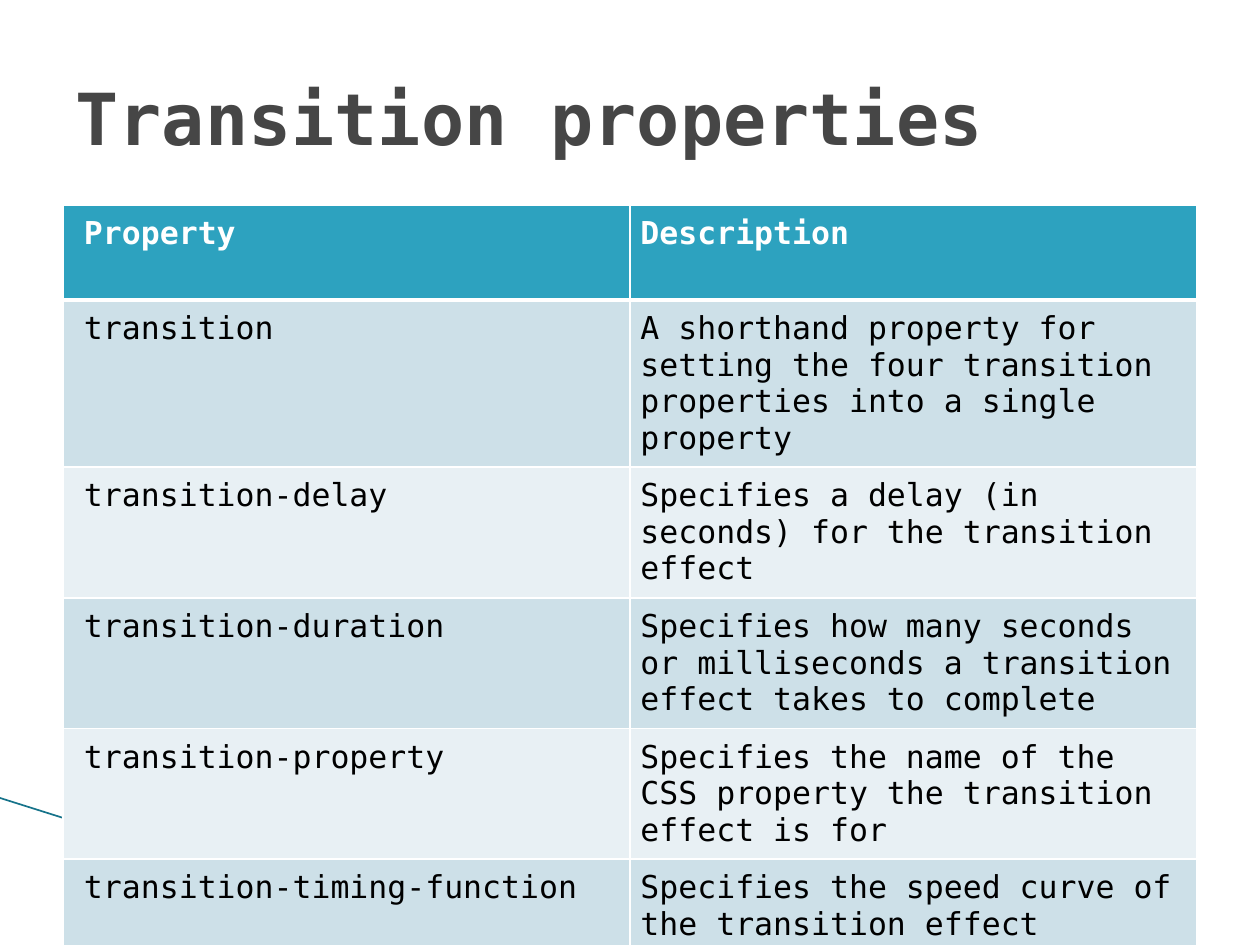
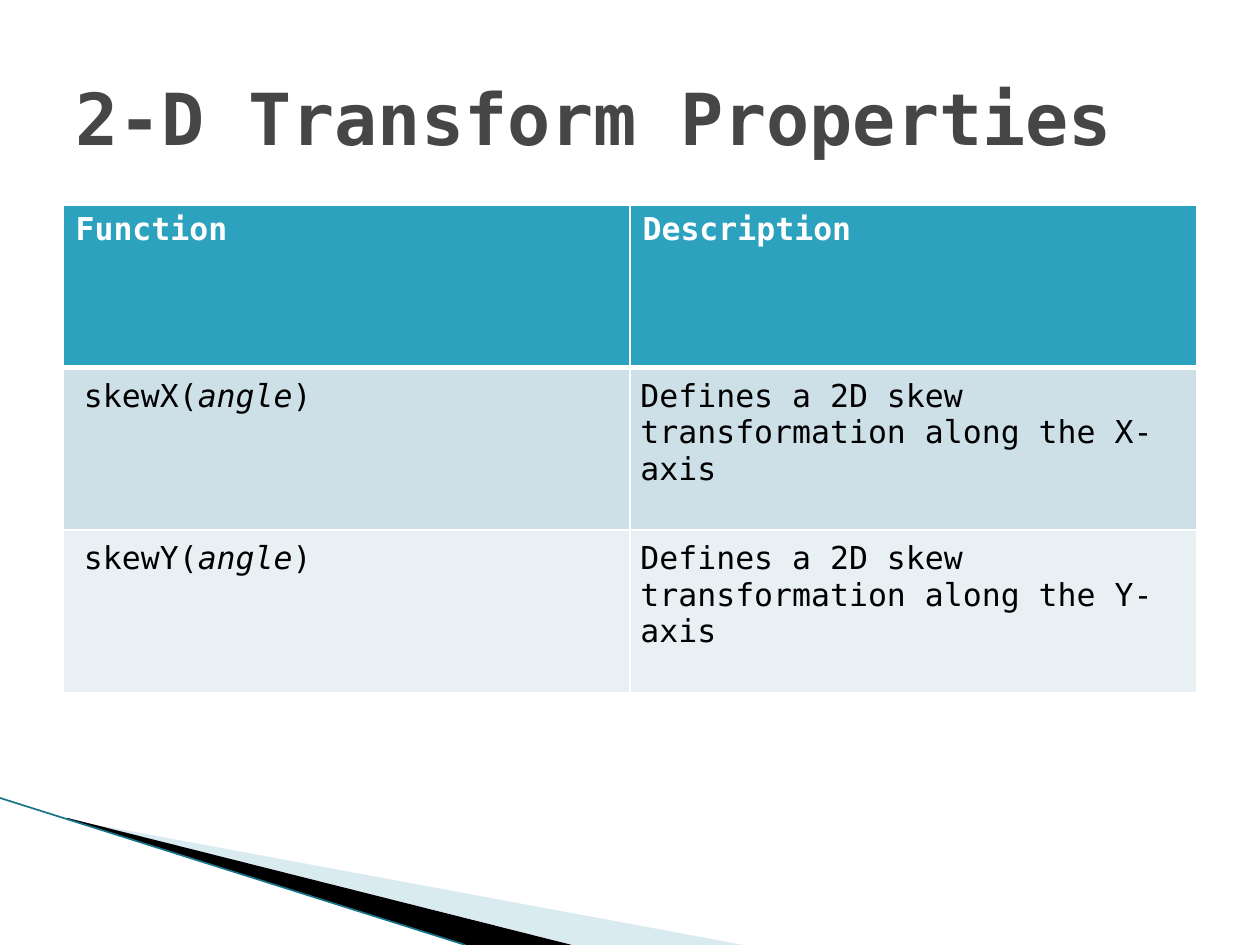
from dataclasses import dataclass

from lxml.etree import SubElement as add_element
from pptx import Presentation
from pptx.dml.color import RGBColor as Color
from pptx.enum.shapes import MSO_CONNECTOR as Connector
from pptx.enum.text import MSO_ANCHOR as Anchor, MSO_AUTO_SIZE as AutoSize, PP_ALIGN as Align
from pptx.oxml.ns import qn
from pptx.slide import Slide
from pptx.util import Pt


# Theme: colours and type sizes
@dataclass(frozen=True)
class Theme:
    font: str = "DejaVu Sans Mono"
    title_size: float = 41
    cell_size: float = 18
    title: str = "464646"
    header: str = "2DA2BF"
    bands: tuple[str, str] = ("CDE0E8", "E8F0F4")
    header_text: str = "FFFFFF"
    body_text: str = "000000"
    border: str = "FFFFFF"
    pale_wedge: str = "A0CBDC"
    dark_wedge: str = "000000"
    edge_line: str = "16738A"


THEME = Theme()
LEFT, WIDTH = 36, 648
TITLE_TOP, TITLE_HEIGHT = 21.6, 90
TABLE_TOP = 117

Insets = tuple[float, float, float, float]  # left, top, right, bottom
PLAIN_INSETS: Insets = (7.2, 3.6, 7.2, 3.6)
FIRST_INSETS: Insets = (12, 6, 6, 6)
OTHER_INSETS: Insets = (6, 6, 6, 6)


@dataclass(frozen=True)
class Run:
    text: str
    italic: bool = False


@dataclass(frozen=True)
class Row:
    name: tuple[Run, ...]
    description: str


@dataclass(frozen=True)
class TableSlide:
    title: str
    name_heading: str
    row_height: float
    rows: tuple[Row, ...]
    plain_header: bool = False


@dataclass(frozen=True)
class Wedge:
    points: tuple[tuple[float, float], ...]
    color: str
    opacity: int = 100


WEDGES = (
    Wedge(((39.6, 468.5), (425, 540), (328, 540), (39.6, 468)), THEME.pale_wedge, 40),
    Wedge(((38.2, 467.3), (327, 540), (266, 540), (38.9, 468)), THEME.dark_wedge),
)


# Corner decoration
def draw_wedge(slide: Slide, wedge: Wedge) -> None:
    points = [(Pt(x), Pt(y)) for x, y in wedge.points]
    builder = slide.shapes.build_freeform(*points[0], scale=1.0)
    builder.add_line_segments(points[1:], close=True)
    shape = builder.convert_to_shape()
    shape.shadow.inherit = False
    shape.fill.solid()
    shape.fill.fore_color.rgb = Color.from_string(wedge.color)
    shape.line.fill.background()
    if wedge.opacity < 100:
        color = shape.element.spPr.find(qn("a:solidFill"))[0]
        add_element(color, qn("a:alpha"), val=str(wedge.opacity * 1000))


def draw_corner(slide: Slide) -> None:
    for wedge in WEDGES:
        draw_wedge(slide, wedge)
    edge = slide.shapes.add_connector(Connector.STRAIGHT, Pt(0), Pt(456), Pt(266), Pt(540))
    edge.line.color.rgb = Color.from_string(THEME.edge_line)
    edge.line.width = Pt(0.95)
    add_element(edge.element.spPr, qn("a:effectLst"))


# Title
def write_title(slide: Slide, text: str) -> None:
    title = slide.shapes.title
    title.left, title.top = Pt(LEFT), Pt(TITLE_TOP)
    title.width, title.height = Pt(WIDTH), Pt(TITLE_HEIGHT)
    frame = title.text_frame
    frame.auto_size = AutoSize.NONE
    frame.vertical_anchor = Anchor.MIDDLE
    paragraph = frame.paragraphs[0]
    paragraph.alignment = Align.LEFT
    run = paragraph.add_run()
    run.text = text
    run.font.name, run.font.size, run.font.bold = THEME.font, Pt(THEME.title_size), True
    run.font.color.rgb = Color.from_string(THEME.title)


# Table
def set_borders(cell, top: float, bottom: float) -> None:
    properties = cell._tc.get_or_add_tcPr()
    for side, width in (("L", 1), ("R", 1), ("T", top), ("B", bottom)):
        line = add_element(properties, qn(f"a:ln{side}"), w=str(Pt(width)))
        fill = add_element(line, qn("a:solidFill"))
        add_element(fill, qn("a:srgbClr"), val=THEME.border)


def write_cell(cell, runs: tuple[Run, ...], fill: str, insets: Insets, header: bool) -> None:
    cell.fill.solid()
    cell.fill.fore_color.rgb = Color.from_string(fill)
    cell.margin_left, cell.margin_top, cell.margin_right, cell.margin_bottom = map(Pt, insets)
    cell.vertical_anchor = Anchor.TOP
    paragraph = cell.text_frame.paragraphs[0]
    for part in runs:
        run = paragraph.add_run()
        run.text = part.text
        run.font.name, run.font.size = THEME.font, Pt(THEME.cell_size)
        run.font.bold, run.font.italic = header, part.italic
        run.font.color.rgb = Color.from_string(THEME.header_text if header else THEME.body_text)


def draw_table(slide: Slide, content: TableSlide) -> None:
    rows = (Row((Run(content.name_heading),), "Description"), *content.rows)
    frame = slide.shapes.add_table(
        len(rows), 2, Pt(LEFT), Pt(TABLE_TOP), Pt(WIDTH), Pt(content.row_height * len(rows)))
    table = frame.table
    for row_index, row in enumerate(rows):
        table.rows[row_index].height = Pt(content.row_height)
        header = row_index == 0
        fill = THEME.header if header else THEME.bands[(row_index - 1) % 2]
        for column, runs in enumerate((row.name, (Run(row.description),))):
            insets = OTHER_INSETS if column else FIRST_INSETS
            if header and content.plain_header:
                insets = PLAIN_INSETS
            cell = table.cell(row_index, column)
            set_borders(cell, top=3 if row_index == 1 else 1, bottom=3 if header else 1)
            write_cell(cell, runs, fill, insets, header)


# Content
def skew_row(axis: str) -> Row:
    return Row((Run(f"skew{axis}("), Run("angle", italic=True), Run(")")),
               f"Defines a 2D skew transformation along the {axis}-axis")


TRANSITIONS = (
    ("transition",
     "A shorthand property for setting the four transition properties into a single property"),
    ("transition-delay", "Specifies a delay (in seconds) for the transition effect"),
    ("transition-duration",
     "Specifies how many seconds or milliseconds a transition effect takes to complete"),
    ("transition-property",
     "Specifies the name of the CSS property the transition effect is for"),
    ("transition-timing-function", "Specifies the speed curve of the transition effect"),
)

SLIDES = (
    TableSlide("Transition properties", "Property", 54.4,
               tuple(Row((Run(name),), description) for name, description in TRANSITIONS)),
    TableSlide("2-D Transform Properties", "Function", 93,
               tuple(skew_row(axis) for axis in "XY"), plain_header=True),
)


# Build the presentation
presentation = Presentation()
presentation.slide_width, presentation.slide_height = Pt(720), Pt(540)
title_only = presentation.slide_layouts[5]
for content in SLIDES:
    slide = presentation.slides.add_slide(title_only)
    draw_corner(slide)
    draw_table(slide, content)
    write_title(slide, content.title)
presentation.save("out.pptx")
